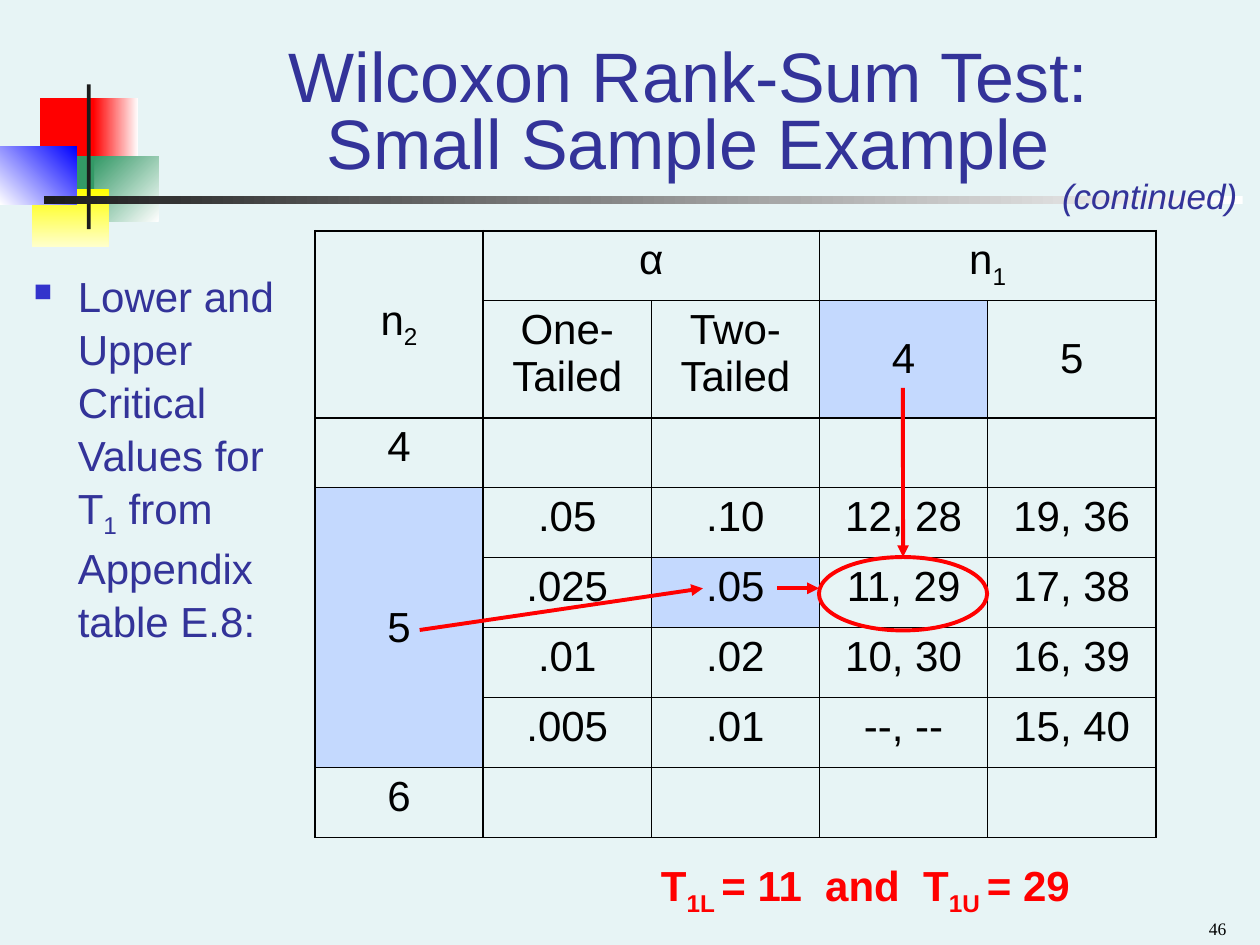
from dataclasses import dataclass, field
from typing import Any, Optional

from lxml.etree import SubElement
from pptx import Presentation
from pptx.dml.color import RGBColor
from pptx.enum.shapes import MSO_CONNECTOR, MSO_SHAPE
from pptx.enum.text import MSO_ANCHOR, MSO_AUTO_SIZE, PP_ALIGN
from pptx.oxml.ns import qn
from pptx.util import Cm, Pt

CENTER, RIGHT = PP_ALIGN.CENTER, PP_ALIGN.RIGHT
MIDDLE, BOTTOM = MSO_ANCHOR.MIDDLE, MSO_ANCHOR.BOTTOM
GROW = MSO_AUTO_SIZE.SHAPE_TO_FIT_TEXT
RECT, OVAL = MSO_SHAPE.RECTANGLE, MSO_SHAPE.OVAL
LINE = MSO_CONNECTOR.STRAIGHT

PAPER = RGBColor(0xE7, 0xF4, 0xF5)
NAVY = RGBColor(0x33, 0x33, 0x99)
BULLET = RGBColor(0x33, 0x33, 0xCC)
RED = RGBColor(0xFF, 0x00, 0x00)
GREEN = RGBColor(0x33, 0x99, 0x66)
YELLOW = RGBColor(0xFF, 0xFF, 0x00)
CREAM = RGBColor(0xFF, 0xFF, 0xCC)
BLUE = RGBColor(0x00, 0x00, 0xFF)
INK = RGBColor(0x1C, 0x1C, 0x1C)
BLACK = RGBColor(0x00, 0x00, 0x00)
WHITE = RGBColor(0xFF, 0xFF, 0xFF)
LIGHT = RGBColor(0xC4, 0xD9, 0xFE)

PLAIN_GRID = "{2D5ABB26-0587-4C30-8999-92F81FD0307C}"
THICK, THIN = Pt(1.08), Pt(0.45)
HEAVY_COLS, HEAVY_ROWS = {0, 1, 3, 5}, {0, 2, 8}
COL, ROW, TALL = 3.39, 1.41, 2.36

Box = tuple[float, float, float, float]
Point = tuple[float, float]


@dataclass
class Block:
    box: Box
    first: RGBColor
    last: Optional[RGBColor] = None
    angle: int = 0


@dataclass
class Label:
    text: str
    box: Box
    font: dict[str, Any]
    para: dict[str, Any] = field(default_factory=dict)
    frame: dict[str, Any] = field(default_factory=dict)
    mark: str = ""


@dataclass
class Arrow:
    start: Point
    end: Point
    joined: bool = False


BLOCKS = [
    Block((0.81, 1.98, 1.22, 1.32), RED),
    Block((1.88, 1.98, 0.91, 1.32), WHITE, RED, 180),
    Block((1.9, 3.15, 1.3, 1.32), WHITE, GREEN, 135),
    Block((1.09, 3.15, 0.81, 1.32), GREEN),
    Block((0.64, 3.81, 1.55, 1.17), YELLOW, CREAM, 270),
    Block((0, 2.95, 1.55, 1.17), BLUE, WHITE, 225),
    Block((1.75, 1.7, 0.08, 2.92), INK),
    Block((0.89, 3.96, 24.16, 0.15), WHITE, INK, 180),
]

LABELS = [
    Label("Wilcoxon Rank-Sum Test: Small Sample Example", (4.45, 1.07, 18.85, 2.74),
          {"size": Pt(40), "color": NAVY},
          {"alignment": CENTER, "line_spacing": 0.8, "space_before": Pt(20)},
          {"vertical_anchor": BOTTOM}),
    Label("Lower and Upper Critical Values for T|1| from Appendix table E.8:",
          (0.43, 5.28, 5.51, 7.87), {"size": Pt(24), "color": NAVY},
          {"line_spacing": 1.05, "space_before": Pt(15)}, {"auto_size": GROW}, "■"),
    Label("(continued)", (21.16, 3.39, 4.24, 1.12),
          {"size": Pt(20), "color": NAVY, "italic": True},
          {"space_before": Pt(12.5)}, {"auto_size": GROW}),
    Label("T|1L |= 11  and  T|1U |= 29", (11.63, 17.15, 11.63, 1.47),
          {"size": Pt(24), "color": RED, "bold": True},
          {"alignment": CENTER, "line_spacing": 1.05, "space_before": Pt(15)},
          {"auto_size": GROW}),
    Label("46", (19.05, 18.16, 5.92, 0.89),
          {"size": Pt(10), "color": BLACK, "name": "Times New Roman"},
          {"alignment": RIGHT}, {"vertical_anchor": BOTTOM}),
]

ARROWS = [
    Arrow((18.2, 7.82), (18.2, 11.23), True),
    Arrow((15.67, 11.86), (16.51, 11.86)),
    Arrow((8.46, 12.7), (14.17, 11.86)),
]

GRID = [
    ["n|2", "α", "", "n|1", ""],
    ["", "One-Tailed", "Two-Tailed", "4", "5"],
    ["4", "", "", "", ""],
    ["5", ".05", ".10", "12, 28", "19, 36"],
    ["", ".025", ".05", "11, 29", "17, 38"],
    ["", ".01", ".02", "10, 30", "16, 39"],
    ["", ".005", ".01", "--, --", "15, 40"],
    ["6", "", "", "", ""],
]
MERGES = [((0, 0), (1, 0)), ((0, 1), (0, 2)), ((0, 3), (0, 4)), ((3, 0), (6, 0))]
CENTRED = {(0, 0), (1, 3), (1, 4), (3, 0)}
SHADED = {(1, 3), (3, 0), (4, 2)}


def lengths(box: Box) -> list[Cm]:
    return [Cm(n) for n in box]


def apply(item: Any, values: dict[str, Any]) -> None:
    for name, value in values.items():
        setattr(item, name, value)


def paint(node: Any, color: RGBColor) -> None:
    SubElement(node, qn("a:srgbClr"), val=str(color))


def write(para: Any, text: str, font: dict[str, Any]) -> None:
    style = {"name": "Arial", **font}
    color = style.pop("color")
    for i, part in enumerate(text.split("|")):
        run = para.add_run()
        run.text = part
        apply(run.font, style)
        run.font.color.rgb = color
        if i % 2:
            run._r.get_or_add_rPr().set("baseline", "-25000")


def draw_block(group: Any, block: Block) -> None:
    shape = group.shapes.add_shape(RECT, *lengths(block.box))
    shape.shadow.inherit = False
    shape.line.fill.background()
    if block.last is None:
        shape.fill.solid()
        shape.fill.fore_color.rgb = block.first
        return
    shape.fill.gradient()
    shape.fill.gradient_angle = block.angle
    for stop, color, place in zip(shape.fill.gradient_stops, (block.first, block.last), (0, 1)):
        stop.color.rgb = color
        stop.position = place


def draw_label(slide: Any, label: Label) -> None:
    frame = slide.shapes.add_textbox(*lengths(label.box)).text_frame
    apply(frame, {"word_wrap": True, **label.frame})
    para = frame.paragraphs[0]
    apply(para, label.para)
    write(para, label.text, label.font)
    if label.mark:
        props = para._p.get_or_add_pPr()
        apply_indent = {"marL": Cm(0.89), "indent": Cm(-0.89)}
        for name, value in apply_indent.items():
            props.set(name, str(int(value)))
        paint(SubElement(props, qn("a:buClr")), BULLET)
        SubElement(props, qn("a:buSzPct"), val="60000")
        SubElement(props, qn("a:buChar"), char=label.mark)


def draw_edges(cell: Any, row: int, col: int) -> None:
    wide = cell.span_width if cell.is_merge_origin else 1
    high = cell.span_height if cell.is_merge_origin else 1
    edges = {"L": col in HEAVY_COLS, "R": col + wide in HEAVY_COLS,
             "T": row in HEAVY_ROWS, "B": row + high in HEAVY_ROWS}
    props = cell._tc.get_or_add_tcPr()
    for side, heavy in edges.items():
        line = SubElement(props, qn(f"a:ln{side}"), w=str(int(THICK if heavy else THIN)))
        paint(SubElement(line, qn("a:solidFill")), BLACK)


def draw_table(slide: Any) -> None:
    rows, cols = len(GRID), len(GRID[0])
    box = (6.35, 4.65, cols * COL, (rows - 1) * ROW + TALL)
    table = slide.shapes.add_table(rows, cols, *lengths(box)).table
    apply(table, {"first_row": False, "horz_banding": False})
    table._tbl.tblPr.find(qn("a:tableStyleId")).text = PLAIN_GRID
    for col in table.columns:
        col.width = Cm(COL)
    for i, row in enumerate(table.rows):
        row.height = Cm(TALL if i == 1 else ROW)
    for start, end in MERGES:
        table.cell(*start).merge(table.cell(*end))
    for i, texts in enumerate(GRID):
        for j, text in enumerate(texts):
            cell = table.cell(i, j)
            if cell.is_spanned:
                continue
            draw_edges(cell, i, j)
            if (i, j) in SHADED:
                cell.fill.solid()
                cell.fill.fore_color.rgb = LIGHT
            else:
                cell.fill.background()
            if (i, j) in CENTRED:
                cell.vertical_anchor = MIDDLE
            if text:
                para = cell.text_frame.paragraphs[0]
                apply(para, {"alignment": CENTER, "space_before": Pt(6)})
                write(para, text, {"size": Pt(24), "color": BLACK})


def draw_ring(slide: Any) -> Any:
    ring = slide.shapes.add_shape(OVAL, *lengths((16.51, 11.23, COL, 1.48)))
    ring.shadow.inherit = False
    ring.fill.background()
    ring.line.color.rgb = RED
    ring.line.width = Pt(2.25)
    return ring


def draw_arrow(slide: Any, arrow: Arrow, ring: Any) -> None:
    line = slide.shapes.add_connector(LINE, *lengths(arrow.start + arrow.end))
    line.line.color.rgb = RED
    line.line.width = Pt(2.25)
    SubElement(line.line._get_or_add_ln(), qn("a:tailEnd"), type="triangle")
    SubElement(line._element.spPr, qn("a:effectLst"))
    if arrow.joined:
        line.end_connect(ring, 0)


def main() -> None:
    deck = Presentation()
    apply(deck, {"slide_width": Cm(25.4), "slide_height": Cm(19.05)})
    slide = deck.slides.add_slide(deck.slide_layouts[6])
    slide.background.fill.solid()
    slide.background.fill.fore_color.rgb = PAPER
    group = slide.shapes.add_group_shape()
    for block in BLOCKS:
        draw_block(group, block)
    draw_table(slide)
    ring = draw_ring(slide)
    for arrow in ARROWS:
        draw_arrow(slide, arrow, ring)
    for label in LABELS:
        draw_label(slide, label)
    deck.save("out.pptx")


if __name__ == "__main__":
    main()
